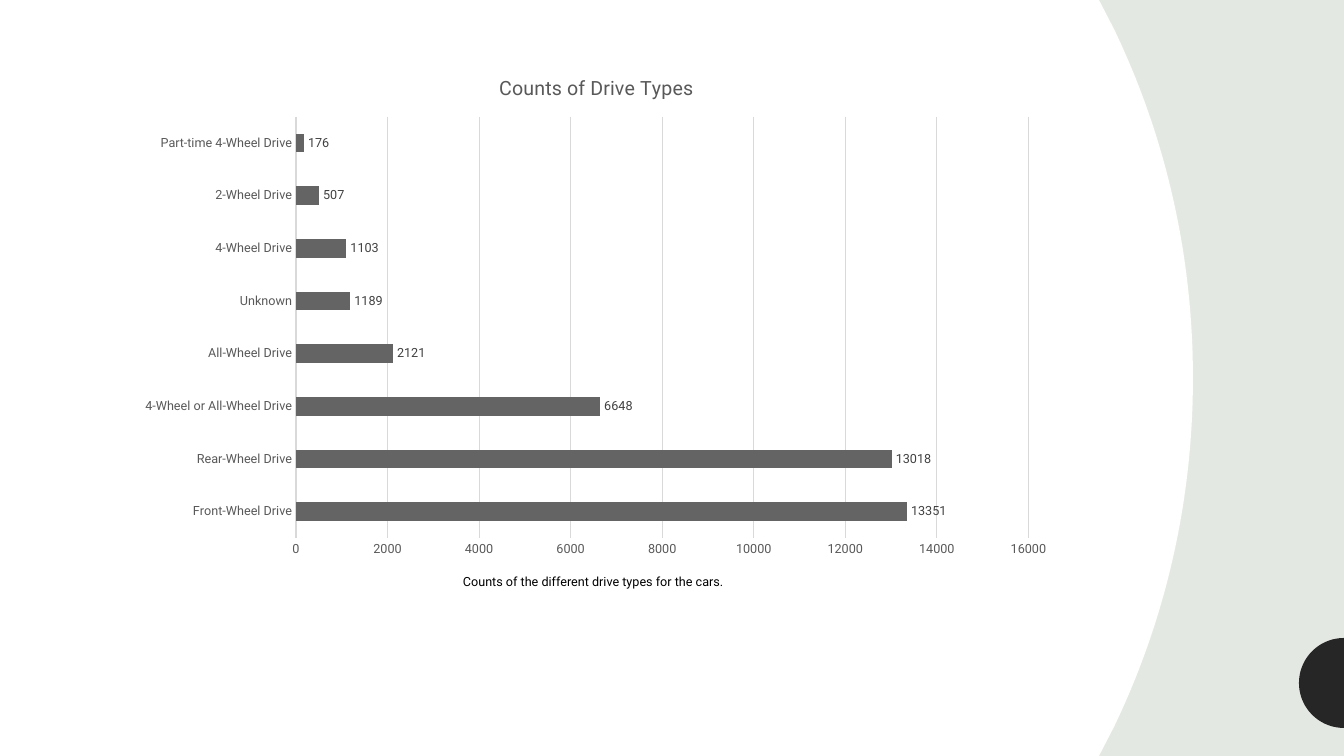
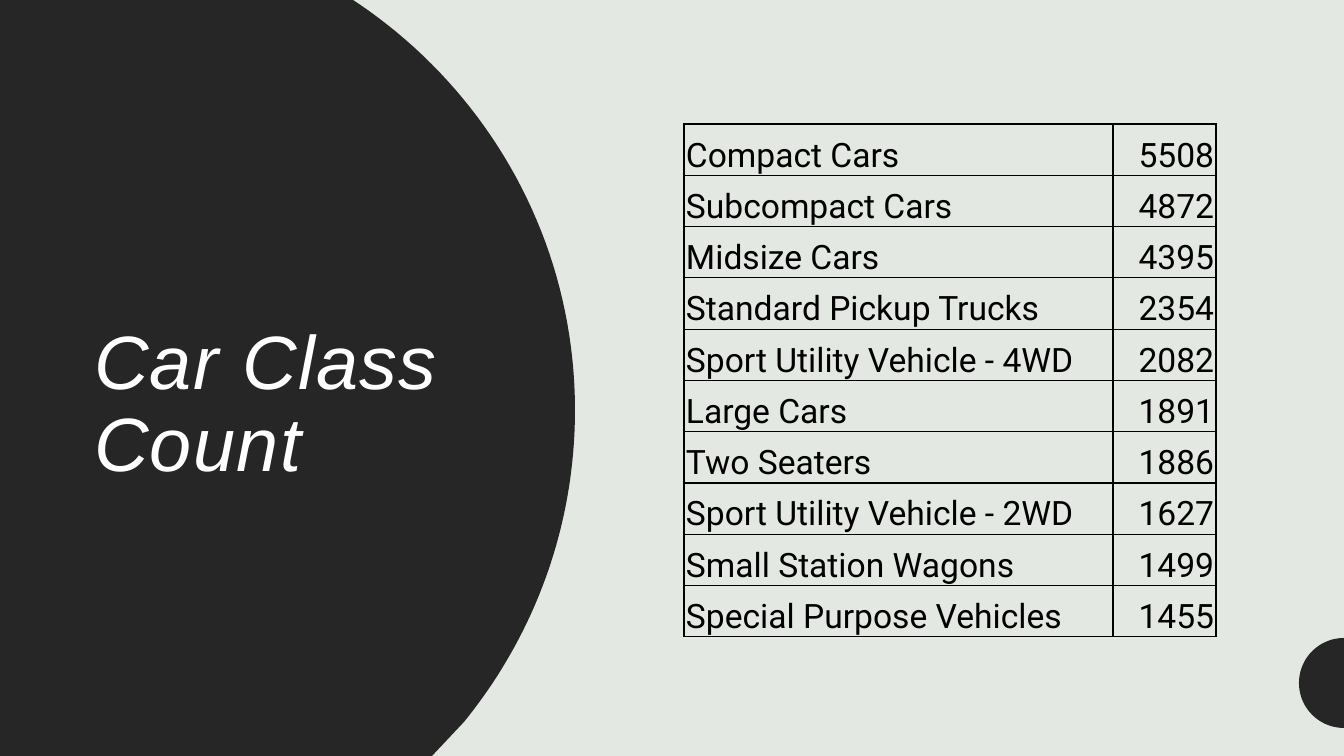
import math
from dataclasses import dataclass

from lxml import etree
from pptx import Presentation
from pptx.chart.data import CategoryChartData
from pptx.dml.color import RGBColor
from pptx.enum.chart import XL_CHART_TYPE, XL_LABEL_POSITION, XL_TICK_MARK
from pptx.enum.text import MSO_ANCHOR, MSO_AUTO_SIZE, PP_ALIGN
from pptx.oxml.ns import qn
from pptx.util import Pt

EMU_PER_PX = 914400 / 100.8
WIDTH, HEIGHT = 1344, 756


@dataclass(frozen=True)
class Theme:
    background: str = "E4E8E2"
    dark: str = "262626"
    white: str = "FFFFFF"
    black: str = "000000"
    bar: str = "646464"
    grid: str = "D9D9D9"
    axis_text: str = "595959"
    label_text: str = "404040"
    title_font: str = "Arial"
    body_font: str = "Roboto"
    title_size: int = 54
    table_size: int = 24
    chart_title_size: int = 14
    small_size: int = 9


THEME = Theme()

DRIVE_COUNTS = {
    "Front-Wheel Drive": 13351,
    "Rear-Wheel Drive": 13018,
    "4-Wheel or All-Wheel Drive": 6648,
    "All-Wheel Drive": 2121,
    "Unknown": 1189,
    "4-Wheel Drive": 1103,
    "2-Wheel Drive": 507,
    "Part-time 4-Wheel Drive": 176,
}

CLASS_COUNTS = {
    "Compact Cars": 5508,
    "Subcompact Cars": 4872,
    "Midsize Cars": 4395,
    "Standard Pickup Trucks": 2354,
    "Sport Utility Vehicle - 4WD": 2082,
    "Large Cars": 1891,
    "Two Seaters": 1886,
    "Sport Utility Vehicle - 2WD": 1627,
    "Small Station Wagons": 1499,
    "Special Purpose Vehicles": 1455,
}


# Units, colours and fonts
def px(value):
    return round(value * EMU_PER_PX)


def box(*lengths):
    return [px(length) for length in lengths]


def rgb(color):
    return RGBColor.from_string(color)


def set_font(font, size, color, name=THEME.body_font):
    font.name, font.size = name, Pt(size)
    font.color.rgb = rgb(color)
    font.bold = False


# Curved outlines
def bezier(start, control_1, control_2, end, steps=40):
    points = []
    for step in range(steps + 1):
        t = step / steps
        weights = ((1 - t) ** 3, 3 * t * (1 - t) ** 2, 3 * t * t * (1 - t), t ** 3)
        corners = (start, control_1, control_2, end)
        points.append(tuple(sum(w * c[axis] for w, c in zip(weights, corners))
                            for axis in (0, 1)))
    return points


def add_outline(slide, points, color):
    points = [(px(x), px(y)) for x, y in points]
    builder = slide.shapes.build_freeform(*points[0], scale=1.0)
    builder.add_line_segments(points[1:], close=True)
    shape = builder.convert_to_shape()
    shape.shadow.inherit = False
    shape.fill.solid()
    shape.fill.fore_color.rgb = rgb(color)
    shape.line.fill.background()


def add_curved_panel(slide, upper, lower, top_x, bottom_x, color):
    edge = bezier(*upper) + bezier(*lower)
    add_outline(slide, [(0, 0), (top_x, 0), *edge, (bottom_x, HEIGHT), (0, HEIGHT)], color)


def add_edge_disc(slide, center_y=683, radius=45):
    angles = [math.radians(degree) for degree in range(90, 271, 5)]
    add_outline(slide, [(WIDTH + radius * math.cos(a), center_y + radius * math.sin(a))
                        for a in angles], THEME.dark)


# Text
def add_caption(slide, text, bounds):
    frame = slide.shapes.add_textbox(*box(*bounds)).text_frame
    frame.word_wrap = True
    run = frame.paragraphs[0].add_run()
    run.text = text
    set_font(run.font, THEME.small_size, THEME.black)


def place_title(slide, text, bounds):
    title = slide.shapes.title
    title.left, title.top, title.width, title.height = box(*bounds)
    frame = title.text_frame
    frame.word_wrap = True
    frame.auto_size = MSO_AUTO_SIZE.NONE
    frame.vertical_anchor = MSO_ANCHOR.BOTTOM
    paragraph = frame.paragraphs[0]
    paragraph.alignment = PP_ALIGN.LEFT
    paragraph.line_spacing = 0.9
    run = paragraph.add_run()
    run.text = text
    set_font(run.font, THEME.title_size, THEME.white, THEME.title_font)
    run.font.italic = True
    run.font._element.set("spc", "100")
    # Bring the title in front of the panel
    slide.shapes._spTree.append(title._element)


# Chart
def set_plot_bounds(chart, x, y, w, h):
    plot_area = chart._chartSpace.chart.plotArea
    for old in plot_area.findall(qn("c:layout")):
        plot_area.remove(old)
    layout = etree.Element(qn("c:layout"))
    manual = etree.SubElement(layout, qn("c:manualLayout"))
    settings = {"layoutTarget": "inner", "xMode": "edge", "yMode": "edge",
                "x": x, "y": y, "w": w, "h": h}
    for name, value in settings.items():
        etree.SubElement(manual, qn("c:" + name)).set("val", str(value))
    plot_area.insert(0, layout)


def style_axis(axis):
    axis.major_tick_mark = axis.minor_tick_mark = XL_TICK_MARK.NONE
    set_font(axis.tick_labels.font, THEME.small_size, THEME.axis_text)


def style_line(line):
    line.color.rgb = rgb(THEME.grid)
    line.width = Pt(0.75)


def add_bar_chart(slide, title, counts, bounds):
    data = CategoryChartData()
    data.categories = list(counts)
    data.add_series("Series 1", list(counts.values()))
    chart = slide.shapes.add_chart(XL_CHART_TYPE.BAR_CLUSTERED, *box(*bounds), data).chart
    chart.has_legend = False
    set_font(chart.font, 10, THEME.black)
    chart.has_title = True
    chart.chart_title.include_in_layout = False
    run = chart.chart_title.text_frame.paragraphs[0].add_run()
    run.text = title
    set_font(run.font, THEME.chart_title_size, THEME.axis_text)
    set_plot_bounds(chart, 0.18, 0.12, 0.78, 0.82)

    style_axis(chart.category_axis)
    style_line(chart.category_axis.format.line)
    values = chart.value_axis
    style_axis(values)
    values.minimum_scale, values.maximum_scale, values.major_unit = 0, 16000, 2000
    values.format.line.fill.background()
    style_line(values.major_gridlines.format.line)

    plot = chart.plots[0]
    plot.gap_width = 182
    plot.vary_by_categories = False
    fill = plot.series[0].format.fill
    fill.solid()
    fill.fore_color.rgb = rgb(THEME.bar)
    plot.has_data_labels = True
    labels = plot.data_labels
    labels.show_value = True
    labels.position = XL_LABEL_POSITION.OUTSIDE_END
    set_font(labels.font, THEME.small_size, THEME.label_text)


# Table
def add_borders(cell):
    properties = cell._tc.get_or_add_tcPr()
    for side in ("lnL", "lnR", "lnT", "lnB"):
        line = etree.SubElement(properties, qn("a:" + side), w=str(Pt(1)))
        fill = etree.SubElement(line, qn("a:solidFill"))
        etree.SubElement(fill, qn("a:srgbClr"), val=THEME.black)


def fill_cell(cell, text, alignment):
    cell.margin_left = cell.margin_right = cell.margin_top = px(2)
    cell.margin_bottom = 0
    cell.vertical_anchor = MSO_ANCHOR.BOTTOM
    add_borders(cell)
    cell.fill.background()
    paragraph = cell.text_frame.paragraphs[0]
    paragraph.alignment = alignment
    run = paragraph.add_run()
    run.text = text
    set_font(run.font, THEME.table_size, THEME.black)


def add_count_table(slide, counts, left, top, column_widths, height):
    bounds = box(left, top, sum(column_widths), height)
    table = slide.shapes.add_table(len(counts), 2, *bounds).table
    table.first_row = table.horz_banding = False
    for column, width in zip(table.columns, column_widths):
        column.width = px(width)
    for row, (name, count) in enumerate(counts.items()):
        fill_cell(table.cell(row, 0), name, PP_ALIGN.LEFT)
        fill_cell(table.cell(row, 1), str(count), PP_ALIGN.RIGHT)


# Slides
def build_drive_types(prs):
    slide = prs.slides.add_slide(prs.slide_layouts[6])
    add_curved_panel(slide,
                     ((1114, 29), (1165, 135), (1193, 253), (1193, 378)),
                     ((1193, 378), (1193, 503), (1165, 621), (1114, 727)),
                     1099, 1099, THEME.white)
    add_edge_disc(slide)
    add_bar_chart(slide, "Counts of Drive Types", DRIVE_COUNTS, (127, 55, 939, 514))
    add_caption(slide, "Counts of the different drive types for the cars.",
                (453, 569, 288, 25))


def build_car_classes(prs):
    slide = prs.slides.add_slide(prs.slide_layouts[5])
    add_curved_panel(slide,
                     ((359, 4), (490, 93), (575, 242), (575, 410)),
                     ((575, 410), (575, 529), (533, 637), (464, 722)),
                     353, 432, THEME.dark)
    place_title(slide, "Car Class Count", (84, 124, 380, 369))
    add_edge_disc(slide)
    add_count_table(slide, CLASS_COUNTS, 684, 124, (429, 103), 513)


def main():
    prs = Presentation()
    prs.slide_width, prs.slide_height = box(WIDTH, HEIGHT)
    background = prs.slide_master.background.fill
    background.solid()
    background.fore_color.rgb = rgb(THEME.background)
    build_drive_types(prs)
    build_car_classes(prs)
    prs.save("out.pptx")


main()
